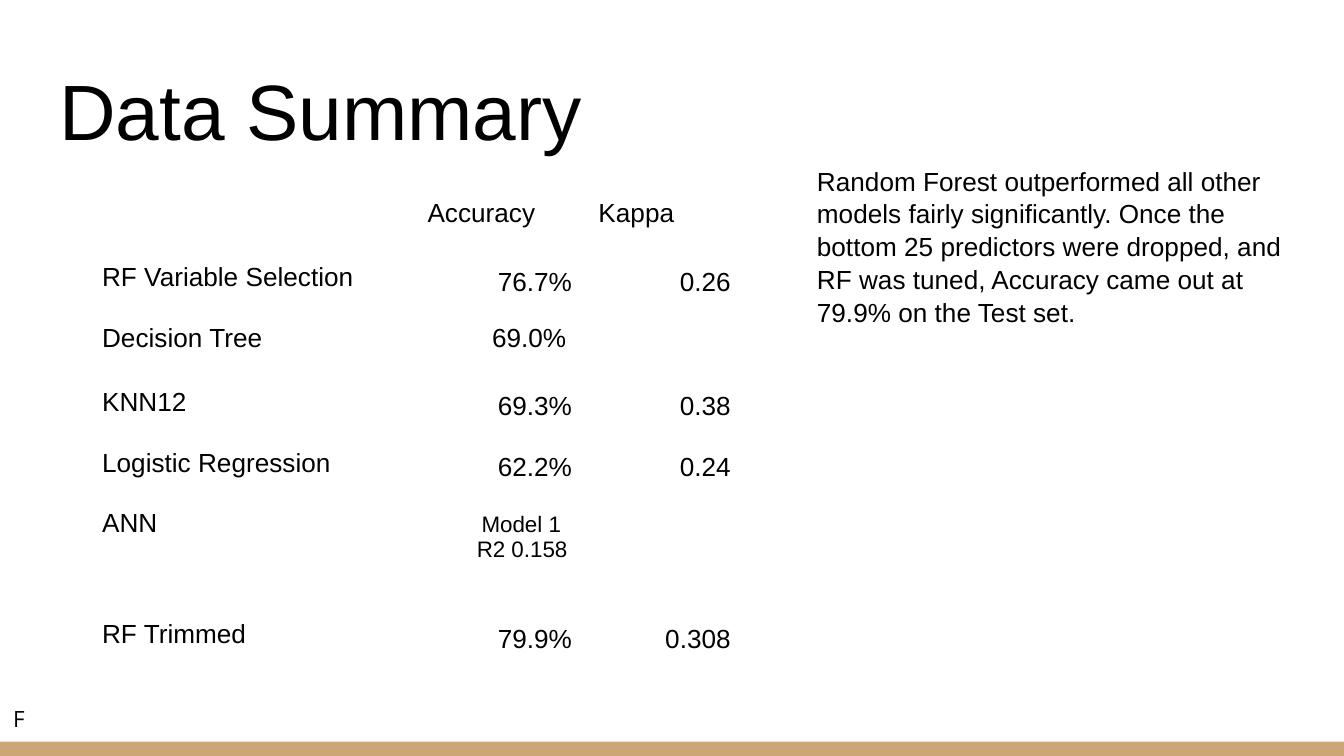
from pptx import Presentation
from pptx.dml.color import RGBColor
from pptx.enum import shapes, text
from pptx.util import Cm, Pt

COLORS = {"text": "000000", "bar": "CCA677"}
FONT = "Arial"
PAD = 0.25
WIDTHS = [6.15, 3.23, 3.0]
HEIGHTS = [1.21, 1.15, 1.21, 1.15, 1.14, 2.1, 1.15]
ROWS = [
    ["", "Accuracy", "Kappa"],
    ["RF Variable Selection", "76.7%", "0.26"],
    ["Decision Tree", "69.0%", ""],
    ["KNN12", "69.3%", "0.38"],
    ["Logistic Regression", "62.2%", "0.24"],
    ["ANN", "", ""],
    ["RF Trimmed", "79.9%", "0.308"],
]
NOTE = (
    "Random Forest outperformed all other models fairly significantly. "
    "Once the bottom 25 predictors were dropped, and RF was tuned, "
    "Accuracy came out at 79.9% on the Test set."
)


def add_run(para, words, size=14, font=FONT):
    run = para.add_run()
    run.text = words
    run.font.name = font
    run.font.size = Pt(size)
    run.font.bold = False
    run.font.color.rgb = RGBColor.from_string(COLORS["text"])


def set_pad(area, pad=PAD):
    area.margin_left = area.margin_right = Cm(PAD)
    area.margin_top = area.margin_bottom = Cm(pad)


def indent(para, left):
    para._p.get_or_add_pPr().set("marL", str(Cm(left)))


def add_title(slide, words):
    title = slide.shapes.title
    title.left, title.top = Cm(0.87), Cm(0.89)
    title.width, title.height = Cm(23.67), Cm(2.31)
    frame = title.text_frame
    set_pad(frame)
    frame.auto_size = text.MSO_AUTO_SIZE.NONE
    frame.vertical_anchor = text.MSO_ANCHOR.BOTTOM
    para = frame.paragraphs[0]
    para.alignment = text.PP_ALIGN.LEFT
    add_run(para, words, 42)


def add_text(slide, words, box, size=14, font=FONT, space=1.0):
    frame = slide.shapes.add_textbox(*map(Cm, box)).text_frame
    frame.word_wrap = True
    set_pad(frame)
    para = frame.paragraphs[0]
    para.line_spacing = space
    add_run(para, words, size, font)


def add_bar(slide):
    bar = slide.shapes.add_shape(
        shapes.MSO_SHAPE.RECTANGLE, Cm(0), Cm(14.02), Cm(25.4), Cm(0.27)
    )
    bar.shadow.inherit = False
    bar.fill.solid()
    bar.fill.fore_color.rgb = RGBColor.from_string(COLORS["bar"])
    bar.line.fill.background()


def fill_cell(cell, words, value):
    cell.fill.background()
    set_pad(cell, PAD if words else 0)
    if not words:
        return
    para = cell.text_frame.paragraphs[0]
    if value:
        para.alignment = text.PP_ALIGN.RIGHT
        para.line_spacing = 1.15
    add_run(para, words)


def fill_model(cell):
    set_pad(cell)
    cell.margin_top = Cm(0.32)
    frame = cell.text_frame
    first, second = frame.paragraphs[0], frame.add_paragraph()
    for para, words, left in ((first, "Model 1", 1.02), (second, "R2 0.158", 0.93)):
        indent(para, left)
        add_run(para, words, 12)


def add_scores(slide):
    table = slide.shapes.add_table(
        len(ROWS), len(WIDTHS), Cm(1.68), Cm(3.51), Cm(sum(WIDTHS)), Cm(sum(HEIGHTS))
    ).table
    table.first_row = table.horz_banding = False
    for col, width in zip(table.columns, WIDTHS):
        col.width = Cm(width)
    for row, height in zip(table.rows, HEIGHTS):
        row.height = Cm(height)
    for r, row in enumerate(ROWS):
        for c, words in enumerate(row):
            value = r > 0 and c > 0 and row[0] != "Decision Tree"
            fill_cell(table.cell(r, c), words, value)
    indent(table.cell(2, 1).text_frame.paragraphs[0], 1.22)
    fill_model(table.cell(5, 1))


def main():
    deck = Presentation()
    deck.slide_width, deck.slide_height = Cm(25.4), Cm(14.29)
    slide = deck.slides.add_slide(deck.slide_layouts[5])
    add_bar(slide)
    add_title(slide, "Data Summary")
    add_scores(slide)
    add_text(slide, NOTE, (15.19, 2.84, 9.35, 3.51), space=1.05)
    add_text(slide, "F", (0, 13.08, 0.74, 1.02), 12, "Open Sans")
    deck.save("out.pptx")


if __name__ == "__main__":
    main()
